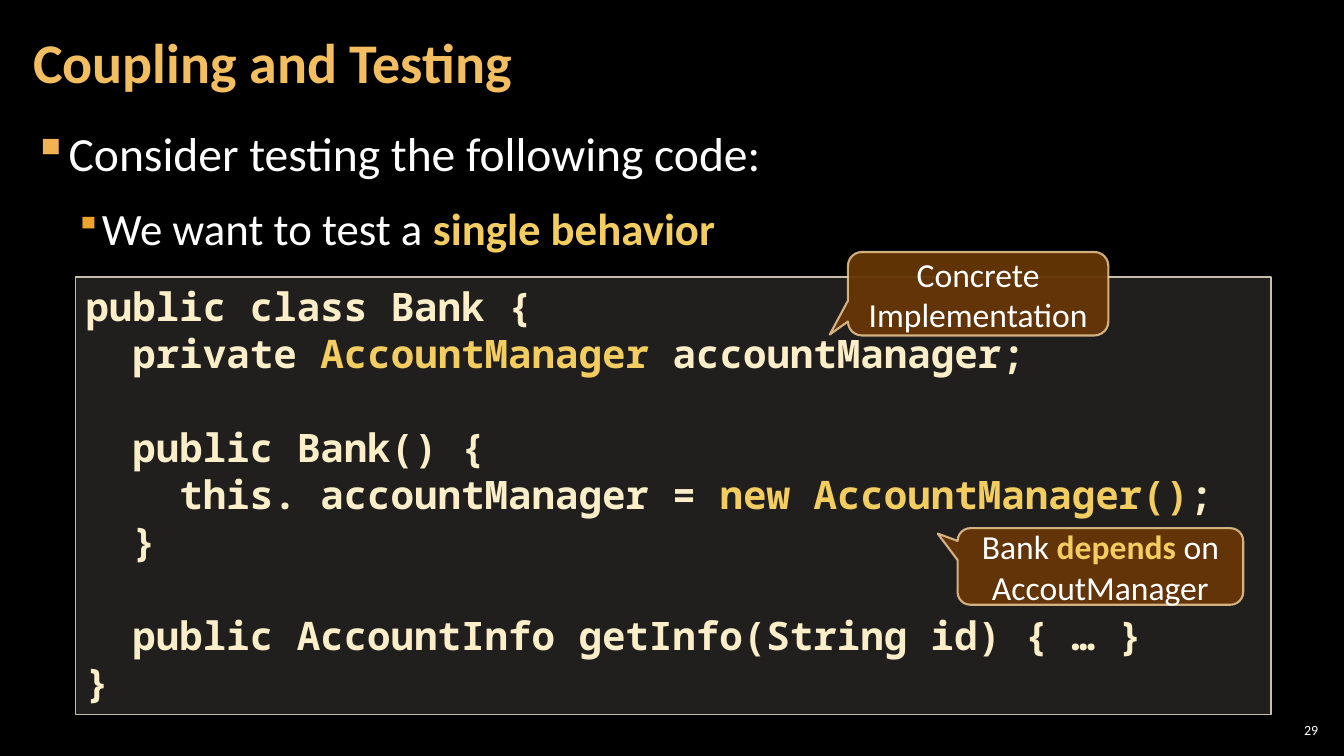
from dataclasses import dataclass

from lxml.etree import SubElement
from pptx import Presentation
from pptx.dml.color import RGBColor
from pptx.enum.shapes import MSO_SHAPE
from pptx.enum.text import MSO_ANCHOR, MSO_AUTO_SIZE, PP_ALIGN
from pptx.oxml.ns import qn
from pptx.util import Pt


@dataclass(frozen=True)
class Theme:
    sans: str = "Calibri"
    mono: str = "Noto Sans Mono"
    back: str = "000000"
    text: str = "FFFFFF"
    title: str = "F3BE60"
    key: str = "F3CD60"
    code: str = "FBEEC9"
    panel: str = "D9D5C7"
    edge: str = "C7BFAC"
    note: str = "663606"
    rim: str = "F8D49E"
    marks: tuple = ("F2B254", "F0A22E")
    body_sizes: tuple = (34, 32)
    title_size: int = 40
    code_size: int = 28
    code_line: float = 33.6
    note_size: int = 24
    page_size: int = 10


THEME = Theme()


def add_run(para, text, size, color, bold=False, face=THEME.sans):
    run = para.add_run()
    run.text = text
    font = run.font
    font.name, font.size, font.bold = face, Pt(size), bold
    font.color.rgb = RGBColor.from_string(color)


def add_parts(para, parts, size, color, bold=False, face=THEME.sans):
    """Add runs in turn; every second part is a highlighted one."""
    for i, part in enumerate(parts):
        key = i % 2 == 1
        add_run(para, part, size, THEME.key if key else color, bold or key, face)


def next_para(frame, first):
    return frame.paragraphs[0] if first else frame.add_paragraph()


def set_paint(fill, color, alpha):
    fill.solid()
    fill.fore_color.rgb = RGBColor.from_string(color)
    for node in fill._xPr.iter(qn("a:solidFill")):
        SubElement(node[0], qn("a:alpha"), val=str(alpha * 1000))
        break


def add_panel(slide, kind, box, fill, alpha, edge, width, clear=100):
    shape = slide.shapes.add_shape(kind, *map(Pt, box))
    shape.shadow.inherit = False
    set_paint(shape.fill, fill, alpha)
    set_paint(shape.line.fill, edge, clear)
    shape.line.width = Pt(width)
    shape.text_frame.word_wrap = True
    return shape


def add_box(slide, box, side, anchor=MSO_ANCHOR.TOP):
    frame = slide.shapes.add_textbox(*map(Pt, box)).text_frame
    frame.word_wrap = True
    frame.vertical_anchor = anchor
    frame.margin_left = frame.margin_right = Pt(side)
    frame.margin_top = frame.margin_bottom = Pt(3)
    return frame


def add_title(slide, box, text):
    para = add_box(slide, box, 8.64, MSO_ANCHOR.MIDDLE).paragraphs[0]
    para.line_spacing = 0.9
    add_run(para, text, THEME.title_size, THEME.title, True)


def add_bullet(para, level):
    props = para._p.get_or_add_pPr()
    left, hang = ((24, 24), (48, 18))[level]
    props.set("marL", str(Pt(left)))
    props.set("indent", str(-Pt(hang)))
    tint = SubElement(props, qn("a:buClr"))
    SubElement(tint, qn("a:srgbClr"), val=THEME.marks[level])
    SubElement(props, qn("a:buSzPct"), val=("100000", "80000")[level])
    SubElement(props, qn("a:buChar"), char="▪")


def add_body(slide, box, items):
    frame = add_box(slide, box, 8.64)
    for i, (level, parts) in enumerate(items):
        para = next_para(frame, i == 0)
        add_bullet(para, level)
        para.level = level
        para.line_spacing = 1.05
        para.space_before = Pt(6 if i else 0)
        para.space_after = Pt(6)
        add_parts(para, parts, THEME.body_sizes[level], THEME.text)


def add_code(slide, box, blocks):
    """Set blocks of code lines, one line of space between blocks."""
    panel = add_panel(slide, MSO_SHAPE.RECTANGLE, box, THEME.panel, 15, THEME.edge, 1)
    frame = panel.text_frame
    frame.auto_size = MSO_AUTO_SIZE.SHAPE_TO_FIT_TEXT
    frame.vertical_anchor = MSO_ANCHOR.TOP
    for i, block in enumerate(blocks):
        for j, parts in enumerate(block):
            para = next_para(frame, i == j == 0)
            para.alignment = PP_ALIGN.LEFT
            if i and j == 0:
                para.space_before = Pt(THEME.code_line)
            add_parts(para, parts, THEME.code_size, THEME.code, True, THEME.mono)


def add_note(slide, box, tip, parts):
    """Add a callout; tip is its point as a share of the box from its centre."""
    note = add_panel(slide, MSO_SHAPE.ROUNDED_RECTANGULAR_CALLOUT, box,
                     THEME.note, 95, THEME.rim, 1.5, 80)
    note.adjustments[0], note.adjustments[1] = tip
    note.text_frame.vertical_anchor = MSO_ANCHOR.MIDDLE
    para = note.text_frame.paragraphs[0]
    para.alignment = PP_ALIGN.CENTER
    add_parts(para, parts, THEME.note_size, THEME.text)


def add_page(slide, box, number):
    para = add_box(slide, box, 3, MSO_ANCHOR.MIDDLE).paragraphs[0]
    para.alignment = PP_ALIGN.RIGHT
    add_run(para, number, THEME.page_size, THEME.text)


def main():
    deck = Presentation()
    deck.slide_width, deck.slide_height = Pt(960), Pt(540)
    slide = deck.slides.add_slide(deck.slide_layouts[6])
    slide.background.fill.solid()
    slide.background.fill.fore_color.rgb = RGBColor.from_string(THEME.back)

    add_body(slide, (15, 83.5, 929.5, 438.5), [
        (0, ["Consider testing the following code:"]),
        (1, ["We want to test a ", "single behavior"]),
    ])
    add_page(slide, (911, 514, 33.6, 15), "29")
    add_title(slide, (15, 3, 754, 87), "Coupling and Testing")
    add_code(slide, (54, 198, 854, 312.5), [
        [["public class Bank {"],
         ["  private ", "AccountManager", " accountManager;"]],
        [["  public Bank() {"],
         ["    this. accountManager = ", "new AccountManager()", ";"],
         ["  }"]],
        [["  public AccountInfo getInfo(String id) { … }"],
         ["}"]],
    ])
    add_note(slide, (684, 377.3, 204, 54.7), (-0.57, -0.43),
             ["Bank ", "depends", " on AccoutManager"])
    add_note(slide, (605.7, 180, 186, 59.6), (-0.57, 0.49),
             ["Concrete Implementation"])
    deck.save("out.pptx")


if __name__ == "__main__":
    main()
